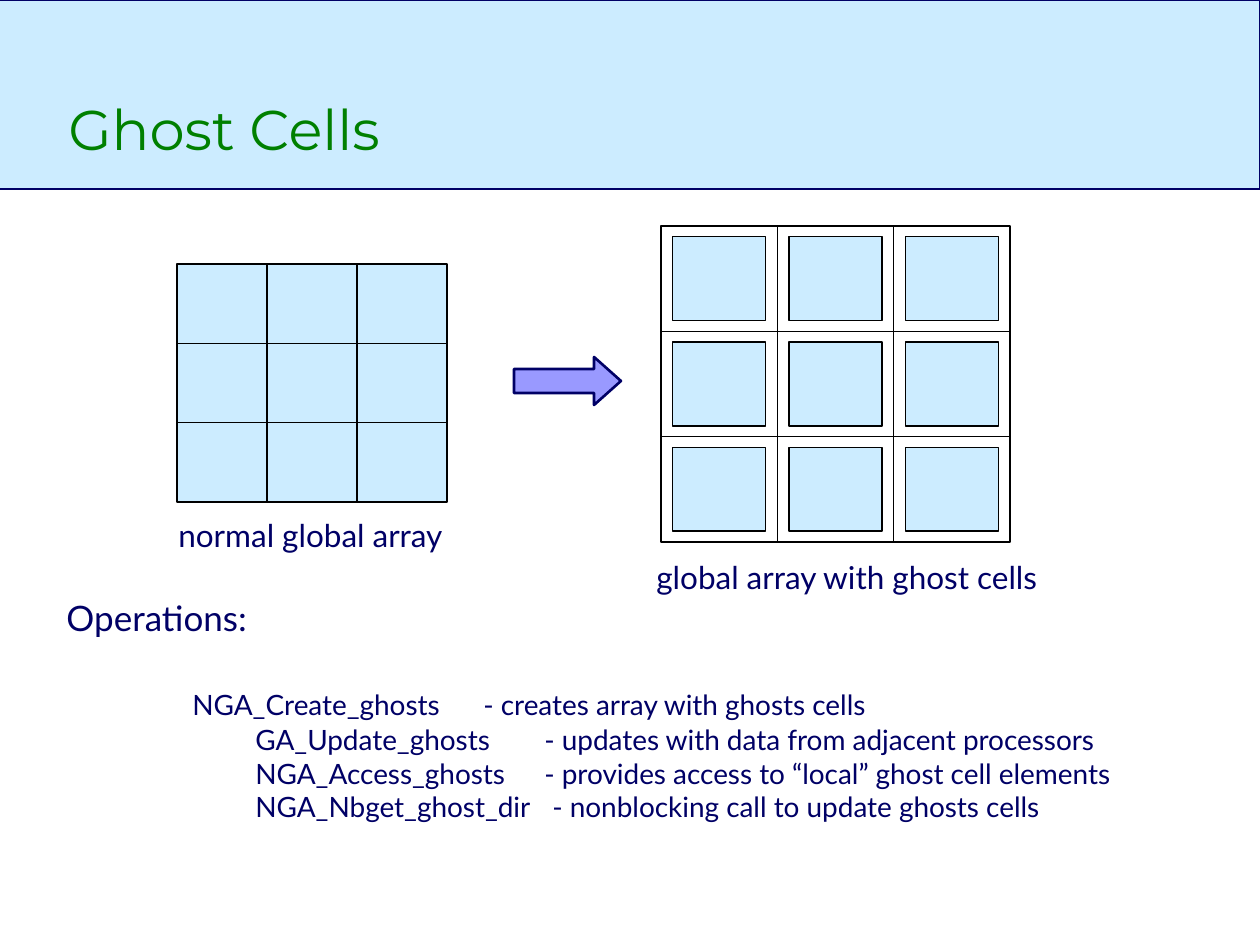
from lxml import etree
from pptx import Presentation
from pptx.dml.color import RGBColor
from pptx.enum.shapes import MSO_CONNECTOR as Connector, MSO_SHAPE as Shape
from pptx.enum.text import MSO_ANCHOR as Anchor
from pptx.oxml.ns import qn
from pptx.util import Pt

PX = 914400 // 126
NAVY = RGBColor(0x00, 0x00, 0x66)
GREEN = RGBColor(0x00, 0x80, 0x00)
PALE_BLUE = RGBColor(0xCC, 0xEC, 0xFF)
VIOLET = RGBColor(0x99, 0x99, 0xFF)
WHITE = RGBColor(0xFF, 0xFF, 0xFF)
BLACK = RGBColor(0x00, 0x00, 0x00)

deck = Presentation()
deck.slide_width, deck.slide_height = 1260 * PX, 945 * PX
slide = deck.slides.add_slide(deck.slide_layouts[6])


def add_box(shapes, kind, bounds, fill, line, weight):
    box = shapes.add_shape(kind, *(round(n * PX) for n in bounds))
    box.shadow.inherit = False
    box.fill.solid()
    box.fill.fore_color.rgb = fill
    box.line.color.rgb = line
    box.line.width = Pt(weight)
    return box


def add_text(bounds, lines, font, size, color):
    frame = slide.shapes.add_textbox(*(n * PX for n in bounds)).text_frame
    frame.word_wrap = True
    frame.text = "\n".join(lines)
    for paragraph in frame.paragraphs:
        paragraph.font.name = font
        paragraph.font.size = Pt(size)
        paragraph.font.color.rgb = color
    return frame


# Title banner
add_box(slide.shapes, Shape.RECTANGLE, (-4, 0, 1264, 189), PALE_BLUE, NAVY, 1.5)
title = add_text((56, 32, 1071, 136), ["Ghost Cells"], "Montserrat", 32, GREEN)
title.vertical_anchor = Anchor.BOTTOM

# Both arrays: 3 by 3 grids, the second with inset cells
arrays = [
    ((177, 264, 270, 238), PALE_BLUE, False),
    ((661, 226, 349, 316), WHITE, True),
]
CELL_W, CELL_H = 93, 84
for (left, top, width, height), fill, has_ghosts in arrays:
    parts = slide.shapes.add_group_shape().shapes
    add_box(parts, Shape.RECTANGLE, (left, top, width, height), fill, BLACK, 0.88)
    step_x, step_y = width / 3, height / 3

    if has_ghosts:
        for row in range(3):
            for col in range(3):
                x = left + col * step_x + (step_x - CELL_W) / 2
                y = top + row * step_y + (step_y - CELL_H) / 2
                add_box(parts, Shape.RECTANGLE, (x, y, CELL_W, CELL_H),
                        PALE_BLUE, BLACK, 0.88)

    dividers = []
    for i in (1, 2):
        x, y = left + i * step_x, top + i * step_y
        dividers += [(x, top, x, top + height), (left, y, left + width, y)]
    for ends in dividers:
        divider = parts.add_connector(Connector.STRAIGHT, *(round(n * PX) for n in ends))
        divider.line.color.rgb = BLACK
        divider.line.width = Pt(0.88)
        etree.SubElement(divider.line._ln.getparent(), qn("a:effectLst"))

# Captions and arrow
add_text((166, 510, 318, 50), ["normal global array"], "Lato", 18, NAVY)
add_text((644, 552, 440, 50), ["global array with ghost cells"], "Lato", 18, NAVY)
arrow = add_box(slide.shapes, Shape.RIGHT_ARROW, (514, 357, 107, 48), VIOLET, NAVY, 1.5)
arrow.adjustments[0], arrow.adjustments[1] = 0.5, 0.56

# Operations: heading, then name and description at two tab stops
add_text((54, 590, 400, 60), ["Operations:"], "Lato", 20, NAVY)
operations = [
    ("NGA_Create_ghosts", "creates array with ghosts cells", 126, 417),
    ("GA_Update_ghosts", "updates with data from adjacent processors", 189, 478),
    ("NGA_Access_ghosts", "provides access to “local” ghost cell elements", 189, 478),
    ("NGA_Nbget_ghost_dir", "nonblocking call to update ghosts cells", 189, 486),
]
listing = add_text((54, 681, 1163, 160),
                   [f"\t{name}\t- {use}" for name, use, *_ in operations],
                   "Lato", 16, NAVY)
for paragraph, (_, _, *stops) in zip(listing.paragraphs, operations):
    tabs = etree.Element(qn("a:tabLst"))
    for stop in stops:
        etree.SubElement(tabs, qn("a:tab"), pos=str(stop * PX), algn="l")
    paragraph._p.get_or_add_pPr().insert(0, tabs)
listing.paragraphs[1].space_before = Pt(1)

deck.save("out.pptx")
